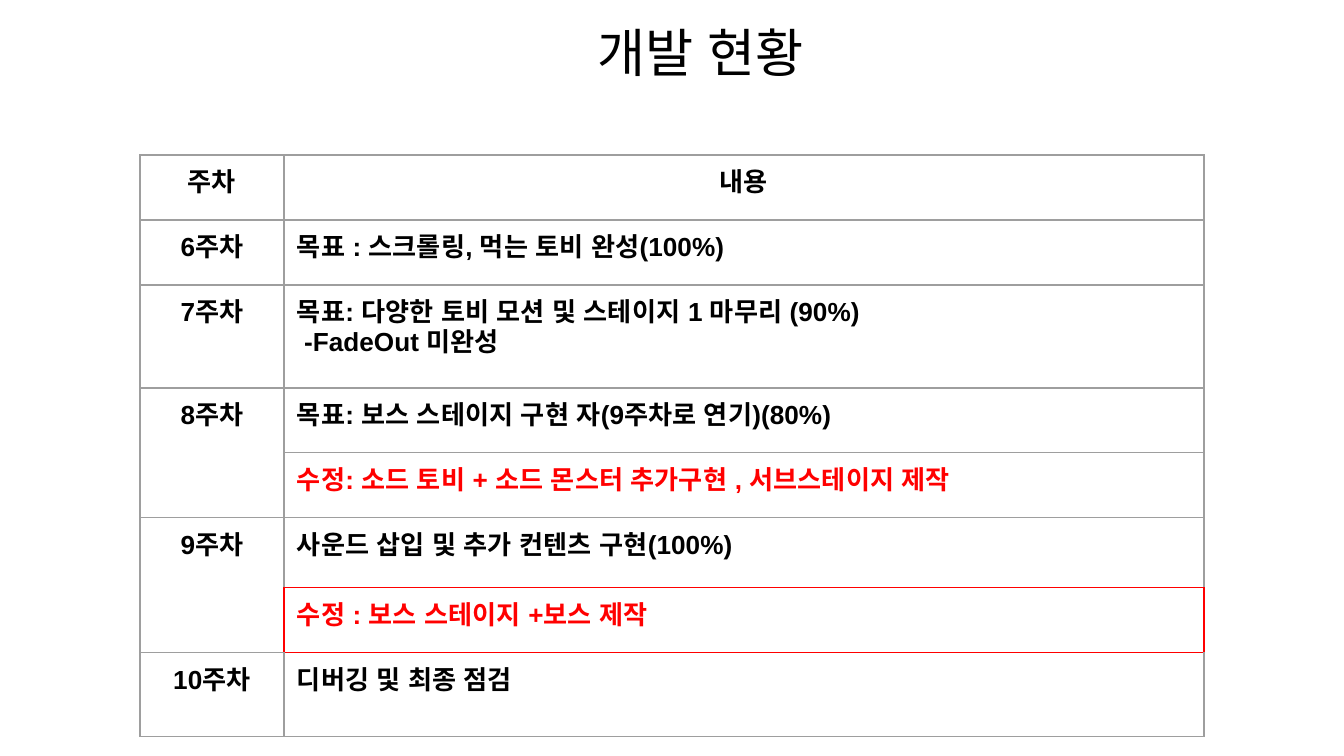
from lxml import etree
from pptx import Presentation
from pptx import util as u
from pptx.dml.color import RGBColor
from pptx.enum import text
from pptx.oxml.ns import qn

# Content: week, then one (lines, colour) pair for each row of that week
TITLE = "개발 현황"
HEADER = ("주차", "내용")
WEEKS = [
    ("6주차", [("목표 : 스크롤링, 먹는 토비 완성(100%)", "ink")]),
    ("7주차", [("목표: 다양한 토비 모션 및 스테이지 1 마무리 (90%)\n -FadeOut 미완성", "ink")]),
    ("8주차", [("목표: 보스 스테이지 구현 자(9주차로 연기)(80%)", "ink"),
             ("수정: 소드 토비 + 소드 몬스터 추가구현 , 서브스테이지 제작", "red")]),
    ("9주차", [("사운드 삽입 및 추가 컨텐츠 구현(100%)", "ink"),
             ("수정 : 보스 스테이지 +보스 제작", "red")]),
    ("10주차", [("디버깅 및 최종 점검", "ink")]),
]
COLORS = {"ink": "000000", "red": "FF0000", "grid": "9E9E9E"}
FONT = "Arial"

# Layout in px
SLIDE = (1344, 756)
TITLE_BOX = (46, 9, 1253, 85)
TITLE_SHIFT = 56
TABLE_LEFT, TABLE_TOP = 140, 155
COLUMNS = (144, 920)
ROWS = (65, 65, 103, 65, 65, 70, 65, 84)
INSET = 13
HIGHLIGHT_ROW = 6
RED_SIDES = {HIGHLIGHT_ROW - 1: "B", HIGHLIGHT_ROW: "LRTB", HIGHLIGHT_ROW + 1: "T"}


def px(value):
    return u.Emu(round(value * 914400 / 134.4))


def write(frame, content, size=14, bold=True, color="ink", centered=False):
    for index, line in enumerate(content.split("\n")):
        paragraph = frame.paragraphs[0] if index == 0 else frame.add_paragraph()
        paragraph.alignment = text.PP_ALIGN.CENTER if centered else text.PP_ALIGN.LEFT
        run = paragraph.add_run()
        run.text = line
        run.font.size = u.Pt(size)
        run.font.bold = bold
        run.font.color.rgb = RGBColor.from_string(COLORS[color])
        run.font.name = FONT
        for tag in ("a:ea", "a:cs"):
            etree.SubElement(run.font._element, qn(tag), typeface=FONT)


def set_borders(cell, red_sides=""):
    properties = cell._tc.get_or_add_tcPr()
    for side in "LRTB":
        line = etree.SubElement(properties, qn("a:ln" + side), w=str(u.Pt(0.75)))
        fill = etree.SubElement(line, qn("a:solidFill"))
        color = COLORS["red" if side in red_sides else "grid"]
        etree.SubElement(fill, qn("a:srgbClr"), val=color)


def set_margins(target, left=INSET):
    target.margin_left = px(left)
    target.margin_right = target.margin_top = target.margin_bottom = px(INSET)


presentation = Presentation()
presentation.slide_width, presentation.slide_height = map(px, SLIDE)
slide = presentation.slides.add_slide(presentation.slide_layouts[5])

# Title
title = slide.shapes.title
title.left, title.top, title.width, title.height = map(px, TITLE_BOX)
frame = title.text_frame
frame.auto_size = text.MSO_AUTO_SIZE.NONE
frame.vertical_anchor = text.MSO_ANCHOR.MIDDLE
set_margins(frame, INSET + TITLE_SHIFT)
write(frame, TITLE, size=28, bold=False, centered=True)

# Table grid
table = slide.shapes.add_table(
    len(ROWS), len(COLUMNS), px(TABLE_LEFT), px(TABLE_TOP), px(sum(COLUMNS)), px(sum(ROWS))
).table
table.first_row = table.horz_banding = False
for column, width in zip(table.columns, COLUMNS):
    column.width = px(width)
for index, (row, height) in enumerate(zip(table.rows, ROWS)):
    row.height = px(height)
    for column, cell in enumerate(row.cells):
        set_borders(cell, RED_SIDES.get(index, "") if column == 1 else "")
        cell.fill.background()
        set_margins(cell)

# Table text
for column, heading in enumerate(HEADER):
    write(table.cell(0, column).text_frame, heading, centered=True)
row = 1
for week, entries in WEEKS:
    week_cell = table.cell(row, 0)
    if len(entries) > 1:
        week_cell.merge(table.cell(row + len(entries) - 1, 0))
    write(week_cell.text_frame, week, centered=True)
    for content, color in entries:
        write(table.cell(row, 1).text_frame, content, color=color)
        row += 1

presentation.save("out.pptx")
